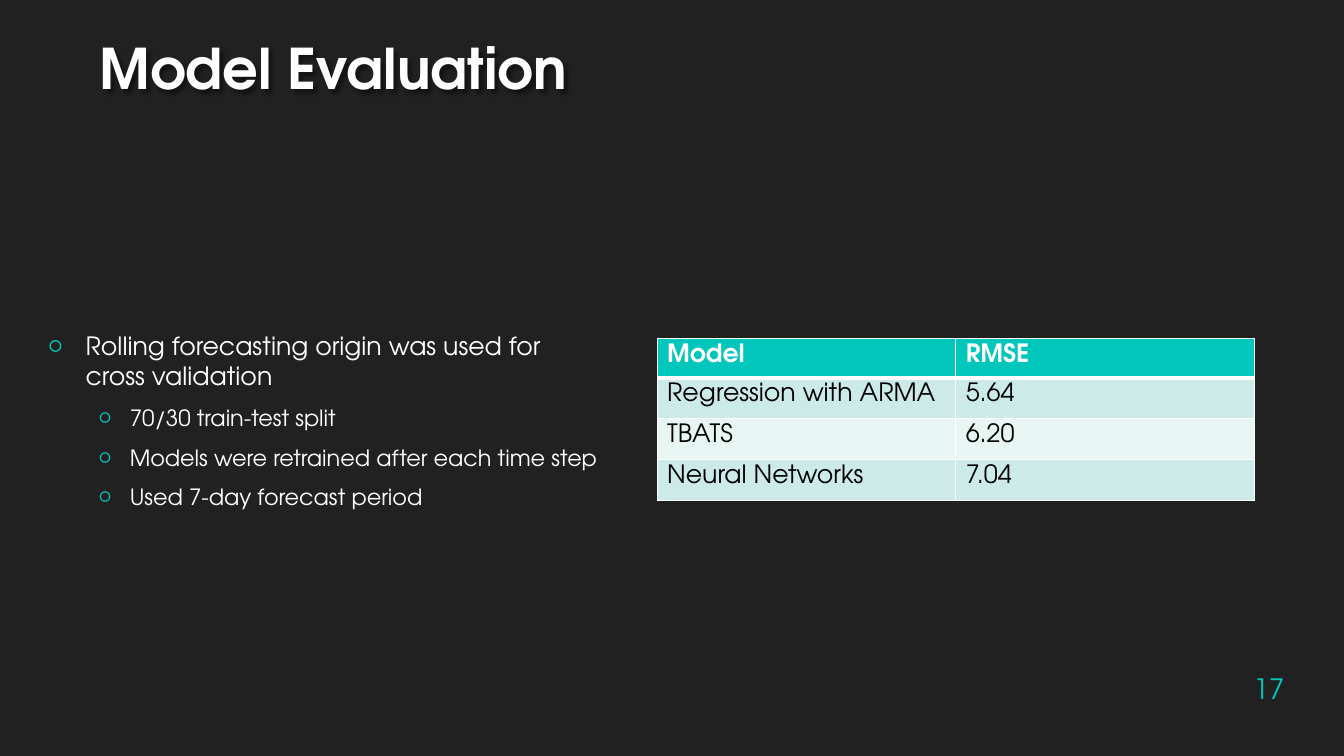
from lxml.etree import SubElement
from pptx import Presentation
from pptx.dml.color import RGBColor
from pptx.enum.text import MSO_ANCHOR, MSO_AUTO_SIZE, PP_ALIGN
from pptx.oxml import parse_xml
from pptx.oxml.ns import nsdecls, qn
from pptx.util import Pt

FONT = "TeX Gyre Adventor"
BACKGROUND = RGBColor(0x21, 0x21, 0x21)
TEAL = RGBColor(0x00, 0xC6, 0xBB)
OFF_WHITE = RGBColor(0xFE, 0xFE, 0xFE)
WHITE = RGBColor(0xFF, 0xFF, 0xFF)
BLACK = RGBColor(0x00, 0x00, 0x00)
BANDS = (RGBColor(0xCC, 0xEA, 0xE7), RGBColor(0xE7, 0xF5, 0xF3))

POINTS = [
    (0, "Rolling forecasting origin was used for cross validation"),
    (1, "70/30 train-test split"),
    (1, "Models were retrained after each time step"),
    (1, "Used 7-day forecast period"),
]
LEVELS = {
    0: {"size": 18, "margin": 27, "hanging": 27},
    1: {"size": 16, "margin": 58.5, "hanging": 22.5},
}
SCORES = [
    ("Model", "RMSE"),
    ("Regression with ARMA", "5.64"),
    ("TBATS", "6.20"),
    ("Neural Networks", "7.04"),
]


def apply(target, values):
    """Set each named attribute on the target."""
    for name, value in values.items():
        setattr(target, name, value)


def place(box, left, top, width, height, anchor):
    """Position a text shape and fix its frame behaviour."""
    apply(box, {"left": Pt(left), "top": Pt(top),
                "width": Pt(width), "height": Pt(height)})
    apply(box.text_frame, {"word_wrap": True, "auto_size": MSO_AUTO_SIZE.NONE,
                           "vertical_anchor": anchor})


def write(para, text, size, color, bold=False, align=PP_ALIGN.LEFT):
    """Add one formatted span to a paragraph."""
    para.alignment = align
    span = para.add_run()
    span.text = text
    apply(span.font, {"name": FONT, "size": Pt(size), "bold": bold})
    span.font.color.rgb = color


def add_title(page, text):
    """Fill the title placeholder with softly shadowed text."""
    box = page.shapes.title
    place(box, 64, -8.6, 832.3, 84.2, MSO_ANCHOR.BOTTOM)
    write(box.text_frame.paragraphs[0], text, 40, OFF_WHITE, bold=True)
    box.shadow.inherit = False
    box._element.spPr.find(qn("a:effectLst")).append(parse_xml(
        f'<a:outerShdw {nsdecls("a")} blurRad="{Pt(3)}" dist="{Pt(3)}" '
        'dir="2700000"><a:srgbClr val="000000"><a:alpha val="43000"/>'
        '</a:srgbClr></a:outerShdw>'))


def add_bullet(para, hanging, margin):
    """Give a paragraph a teal ring bullet with a hanging indent."""
    properties = para._p.get_or_add_pPr()
    properties.set("marL", str(Pt(margin)))
    properties.set("indent", str(-Pt(hanging)))
    color = SubElement(properties, qn("a:buClr"))
    SubElement(color, qn("a:srgbClr"), val=str(TEAL))
    SubElement(properties, qn("a:buSzPct"), val="80000")
    SubElement(properties, qn("a:buFont"), typeface=FONT)
    SubElement(properties, qn("a:buChar"), char="○")


def add_points(page, points):
    """Fill the body placeholder with the two-level list."""
    box = page.placeholders[1]
    place(box, 27, 157, 408.2, 286.6, MSO_ANCHOR.MIDDLE)
    frame = box.text_frame
    for index, (level, text) in enumerate(points):
        para = frame.add_paragraph() if index else frame.paragraphs[0]
        style = LEVELS[level]
        apply(para, {"level": level, "space_before": Pt(style["size"] * 0.2),
                     "space_after": Pt(6)})
        add_bullet(para, style["hanging"], style["margin"])
        write(para, text, style["size"], WHITE)


def add_borders(cell, widths):
    """Draw white borders on the four sides of a cell."""
    properties = cell._tc.get_or_add_tcPr()
    for side, width in widths.items():
        line = SubElement(properties, qn(f"a:ln{side}"), w=str(Pt(width)))
        fill = SubElement(line, qn("a:solidFill"))
        SubElement(fill, qn("a:srgbClr"), val=str(WHITE))


def add_scores(page, scores):
    """Add the banded table of model errors."""
    table = page.shapes.add_table(
        len(scores), 2, Pt(469.4), Pt(242), Pt(426.6), Pt(116.6)).table
    for column in table.columns:
        column.width = Pt(213.3)
    for index, values in enumerate(scores):
        header = index == 0
        table.rows[index].height = Pt(28 if header else 29.2)
        for column, text in enumerate(values):
            cell = table.cell(index, column)
            apply(cell, {"margin_left": Pt(7.2), "margin_right": Pt(7.2),
                         "margin_top": Pt(3.6), "margin_bottom": 0,
                         "vertical_anchor": MSO_ANCHOR.TOP})
            add_borders(cell, {"L": 1, "R": 1, "T": 3 if index == 1 else 1,
                               "B": 3 if header else 1})
            cell.fill.solid()
            cell.fill.fore_color.rgb = TEAL if header else BANDS[(index - 1) % 2]
            write(cell.text_frame.paragraphs[0], text, 18,
                  WHITE if header else BLACK, bold=header)


def add_page_number(page, number):
    """Add the page number at the bottom right."""
    box = page.shapes.add_textbox(0, 0, 0, 0)
    place(box, 841, 465.8, 83.5, 38.9, MSO_ANCHOR.BOTTOM)
    box.text_frame.margin_bottom = Pt(0.7)
    write(box.text_frame.paragraphs[0], number, 20, TEAL, align=PP_ALIGN.RIGHT)


def main():
    """Build and save the model evaluation slide."""
    deck = Presentation()
    apply(deck, {"slide_width": Pt(960), "slide_height": Pt(540)})
    page = deck.slides.add_slide(deck.slide_layouts[1])
    page.background.fill.solid()
    page.background.fill.fore_color.rgb = BACKGROUND
    add_title(page, "Model Evaluation")
    add_page_number(page, "17")
    add_scores(page, SCORES)
    add_points(page, POINTS)
    deck.save("out.pptx")


if __name__ == "__main__":
    main()
